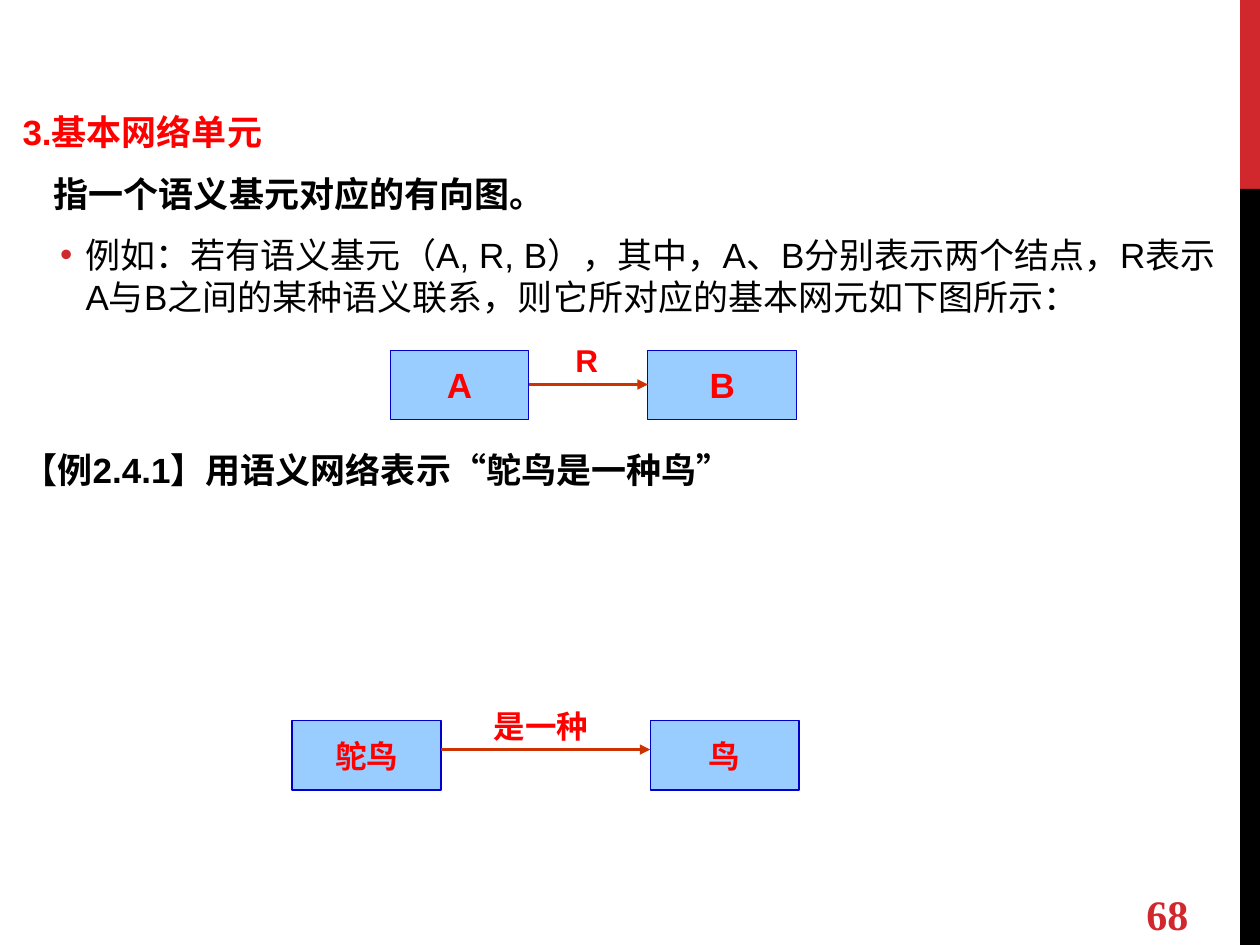
from dataclasses import dataclass

import lxml.etree
import pptx
import pptx.dml.color
import pptx.enum.shapes
import pptx.enum.text
import pptx.oxml.ns
import pptx.shapes.autoshape
import pptx.util
from pptx.util import Cm, Pt

RED = pptx.dml.color.RGBColor(0xFF, 0x00, 0x00)
ACCENT = pptx.dml.color.RGBColor(0xD1, 0x28, 0x2E)
BLACK = pptx.dml.color.RGBColor(0x00, 0x00, 0x00)
NODE_FILL = pptx.dml.color.RGBColor(0x99, 0xCC, 0xFF)
NODE_LINE = pptx.dml.color.RGBColor(0x00, 0x00, 0xCC)
ARROW = pptx.dml.color.RGBColor(0xCC, 0x33, 0x00)

RECTANGLE = pptx.enum.shapes.MSO_SHAPE.RECTANGLE
MIDDLE = pptx.enum.text.MSO_ANCHOR.MIDDLE
NODE_HEIGHT = 1.4
LABEL_RISE = 0.99


@dataclass(frozen=True)
class Node:
    text: str
    left: float
    width: float


@dataclass(frozen=True)
class Relation:
    source: Node
    target: Node
    top: float
    arrow_top: float
    label: str
    label_left: float
    label_width: float
    node_size: int


@dataclass(frozen=True)
class Line:
    spans: tuple[str, ...]
    color: pptx.dml.color.RGBColor = BLACK
    bold: bool = True
    margin: float = 0
    before: float = 5
    after: float = 6
    bullet: str = ""


LINES = (
    Line(("3.基本网络单元",), color=RED, before=0),
    Line(("指一个语义基元对应的有向图。",), margin=0.63),
    Line(
        ("例如：若有语义基元（A, R, B），其中，A、B分别表示两个结点，"
         "R表示A与B之间的某种语义联系，则它所对应的基本网元如下图所示：",),
        bold=False, margin=1.27, after=0, bullet="•",
    ),
    Line(("【例2.4.1】用语义网络表示", "“", "鸵鸟是一种鸟", "”"), before=75),
)

BASIC_UNIT = Relation(
    Node("A", 7.87, 2.79), Node("B", 13.06, 3), 7.06, 7.75, "R", 11.35, 1.19, 20
)
OSTRICH = Relation(
    Node("鸵鸟", 5.89, 3), Node("鸟", 13.11, 3), 14.53, 15.11, "是一种", 9.7, 2.79, 18
)


def add_element(parent, tag: str, **attributes: str):
    return lxml.etree.SubElement(parent, pptx.oxml.ns.qn(tag), **attributes)


def format_spans(para, size: int, color, bold: bool = True, name: str = "Arial") -> None:
    for span in para.runs:
        span.font.name = name
        span.font.size = Pt(size)
        span.font.bold = bold
        span.font.color.rgb = color


def draw_rectangle(shapes, left: float, top: float, width: float, height: float,
                   fill) -> pptx.shapes.autoshape.Shape:
    box = shapes.add_shape(RECTANGLE, Cm(left), Cm(top), Cm(width), Cm(height))
    box.shadow.inherit = False
    box.fill.solid()
    box.fill.fore_color.rgb = fill
    box.line.fill.background()
    return box


def draw_text(shapes, text: str, left: float, top: float, width: float, size: int,
              color, name: str = "Arial") -> pptx.shapes.autoshape.Shape:
    box = shapes.add_textbox(Cm(left), Cm(top), Cm(width), Cm(1.02))
    box.text_frame.word_wrap = True
    box.text_frame.text = text
    format_spans(box.text_frame.paragraphs[0], size, color, name=name)
    return box


def draw_node(shapes, node: Node, top: float, size: int) -> None:
    box = draw_rectangle(shapes, node.left, top, node.width, NODE_HEIGHT, NODE_FILL)
    box.line.color.rgb = NODE_LINE
    box.line.width = Pt(0.75)
    frame = box.text_frame
    frame.word_wrap = False
    frame.vertical_anchor = MIDDLE
    frame.text = node.text
    frame.paragraphs[0].alignment = pptx.enum.text.PP_ALIGN.CENTER
    format_spans(frame.paragraphs[0], size, RED)


def draw_relation(shapes, relation: Relation) -> None:
    source, target = relation.source, relation.target
    for node in (source, target):
        draw_node(shapes, node, relation.top, relation.node_size)
    arrow = shapes.add_connector(
        pptx.enum.shapes.MSO_CONNECTOR.STRAIGHT,
        Cm(source.left + source.width), Cm(relation.arrow_top),
        Cm(target.left), Cm(relation.arrow_top),
    )
    arrow.line.color.rgb = ARROW
    arrow.line.width = Pt(1.5)
    add_element(arrow.line._get_or_add_ln(), "a:tailEnd", type="triangle")
    add_element(arrow._element.spPr, "a:effectLst")
    draw_text(shapes, relation.label, relation.label_left,
              relation.arrow_top - LABEL_RISE, relation.label_width, 18, RED)


def write_line(para, line: Line) -> None:
    properties = para._p.get_or_add_pPr()
    properties.set("marL", str(Cm(line.margin)))
    properties.set("indent", str(Cm(-0.51) if line.bullet else 0))
    if line.bullet:
        color = add_element(properties, "a:buClr")
        add_element(color, "a:srgbClr", val=str(ACCENT))
        add_element(properties, "a:buFont", typeface="Arial")
        add_element(properties, "a:buChar", char=line.bullet)
        para.level = 1
    else:
        add_element(properties, "a:buNone")
    para.line_spacing = Pt(24)
    para.space_before = Pt(line.before)
    para.space_after = Pt(line.after)
    for text in line.spans:
        para.add_run().text = text
    format_spans(para, 20, line.color, line.bold)
    for span in para.runs:
        if span.text in "“”":
            span.font.name = "Times New Roman"


def write_body(body) -> None:
    body.left, body.top, body.width, body.height = Cm(0.2), Cm(2.11), Cm(24.97), Cm(10.39)
    frame = body.text_frame
    frame.word_wrap = True
    frame.auto_size = pptx.enum.text.MSO_AUTO_SIZE.NONE
    for index, line in enumerate(LINES):
        write_line(frame.add_paragraph() if index else frame.paragraphs[0], line)


def main() -> None:
    deck = pptx.Presentation()
    deck.slide_width, deck.slide_height = Cm(25.4), Cm(19.05)
    page = deck.slides.add_slide(deck.slide_layouts[1])
    title = page.shapes.title._element
    title.getparent().remove(title)
    write_body(page.placeholders[1])
    draw_rectangle(page.shapes, 25, 0, 0.4, 3.81, ACCENT)
    draw_rectangle(page.shapes, 25, 3.81, 0.4, 15.24, BLACK)
    draw_relation(page.shapes, BASIC_UNIT)
    draw_relation(page.shapes.add_group_shape().shapes, OSTRICH)
    number = draw_text(page.shapes, "68", 22.86, 17.91, 2.1, 24, ACCENT, "Times New Roman")
    number.text_frame.vertical_anchor = MIDDLE
    deck.save("out.pptx")


if __name__ == "__main__":
    main()
